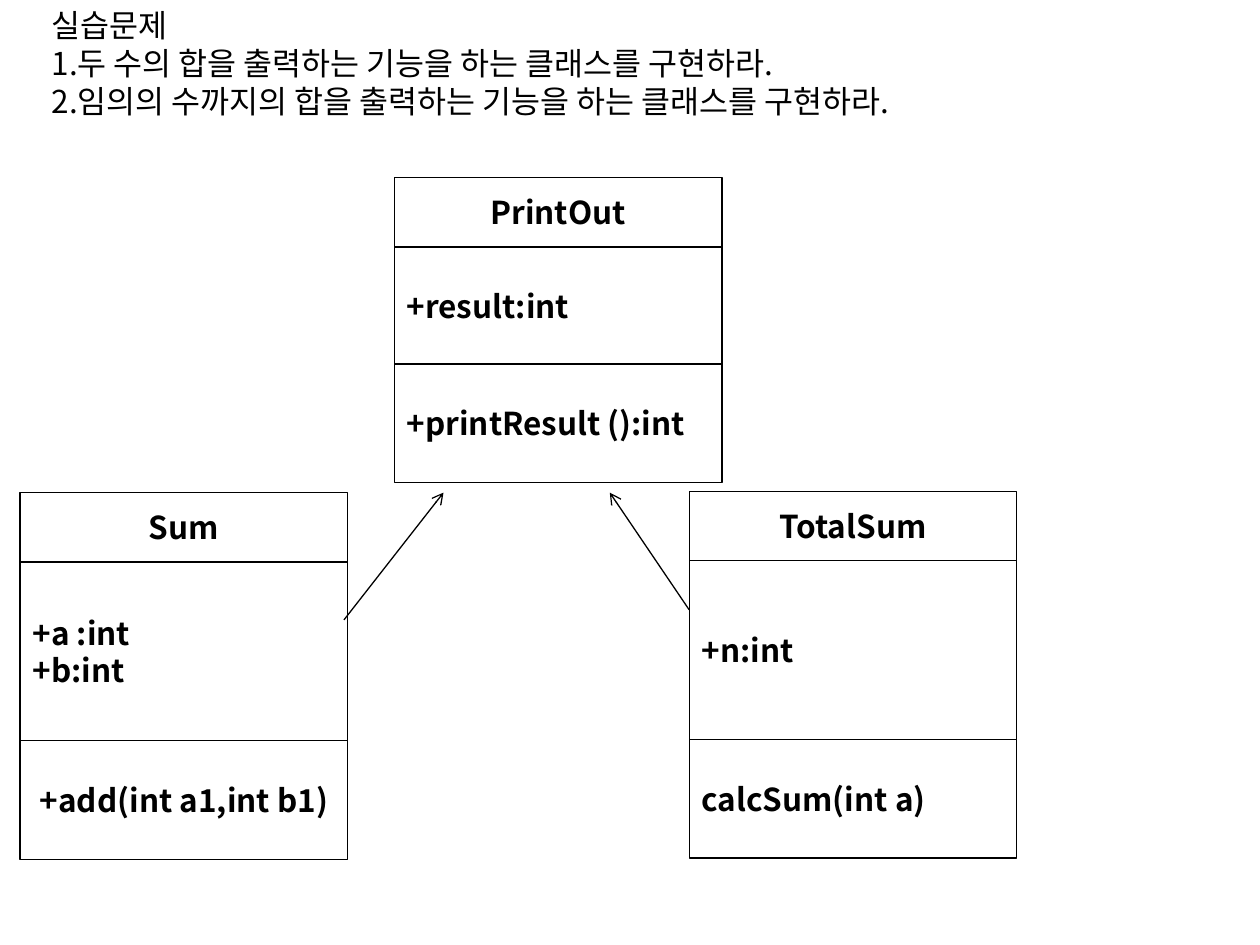
from lxml.etree import SubElement
from pptx import Presentation
from pptx.dml.color import RGBColor
from pptx.enum.shapes import MSO_CONNECTOR, MSO_SHAPE
from pptx.enum.text import MSO_ANCHOR, MSO_AUTO_SIZE, PP_ALIGN
from pptx.oxml.ns import qn
from pptx.util import Inches, Pt

BLACK = RGBColor(0, 0, 0)
FONT = "Noto Sans CJK KR"
LEFT, MID = PP_ALIGN.LEFT, PP_ALIGN.CENTER
WIDTH = 2.6   # width of every class box
LINE = 0.75

# Content
TASK = [
    "실습문제",
    "1.두 수의 합을 출력하는 기능을 하는 클래스를 구현하라.",
    "2.임의의 수까지의 합을 출력하는 기능을 하는 클래스를 구현하라.",
]
# Each class: left, top, then rows of (lines, height, alignment)
CLASSES = [
    (3.13, 1.41, [(["PrintOut"], 0.55, MID),
                  (["+result:int"], 0.93, LEFT),
                  (["+printResult ():int"], 0.94, LEFT)]),
    (0.16, 3.91, [(["Sum"], 0.55, MID),
                  (["+a :int", "+b:int"], 1.42, LEFT),
                  (["+add(int a1,int b1)"], 0.94, MID)]),
    (5.47, 3.9, [(["TotalSum"], 0.55, MID),
                 (["+n:int"], 1.42, LEFT),
                 (["calcSum(int a)"], 0.94, LEFT)]),
]
# Inheritance arrows: start and end points
ARROWS = [((2.73, 4.92), (3.52, 3.91)), ((5.47, 4.84), (4.84, 3.91))]


def write(frame, lines, align=LEFT, bold=False, anchor=MSO_ANCHOR.MIDDLE,
          wrap=False, fit=MSO_AUTO_SIZE.NONE):
    frame.auto_size, frame.word_wrap = fit, wrap
    frame.vertical_anchor = anchor
    frame.margin_left = frame.margin_right = Inches(0.1)
    frame.margin_top = frame.margin_bottom = Inches(0.05)
    for i, line in enumerate(lines):
        para = frame.add_paragraph() if i else frame.paragraphs[0]
        para.alignment = align
        run = para.add_run()
        run.text = line
        font = run.font
        font.name, font.size, font.bold = FONT, Pt(18), bold
        font.color.rgb = BLACK
        SubElement(run._r.get_or_add_rPr(), qn("a:ea"), typeface=FONT)


def outline(shape):
    shape.line.color.rgb = BLACK
    shape.line.width = Pt(LINE)


deck = Presentation()
deck.slide_width, deck.slide_height = Inches(10), Inches(7.5)
slide = deck.slides.add_slide(deck.slide_layouts[5])
shapes = slide.shapes

# Task text in the title
title = shapes.title
title.left, title.top = Inches(0.31), Inches(0)
title.width, title.height = Inches(9.3), Inches(1.3)
write(title.text_frame, TASK, anchor=MSO_ANCHOR.TOP, wrap=True,
      fit=MSO_AUTO_SIZE.SHAPE_TO_FIT_TEXT)

# Class boxes, rows stacked downwards
for left, top, rows in CLASSES:
    for lines, height, align in rows:
        box = shapes.add_shape(MSO_SHAPE.RECTANGLE, Inches(left), Inches(top),
                               Inches(WIDTH), Inches(height))
        box.shadow.inherit = False
        box.fill.background()
        outline(box)
        write(box.text_frame, lines, align=align, bold=True)
        top += height

# Inheritance arrows
for start, end in ARROWS:
    arrow = shapes.add_connector(MSO_CONNECTOR.STRAIGHT,
                                 *map(Inches, start + end))
    outline(arrow)
    SubElement(arrow.line._get_or_add_ln(), qn("a:tailEnd"), type="arrow")
    SubElement(arrow._element.spPr, qn("a:effectLst"))

deck.save("out.pptx")
